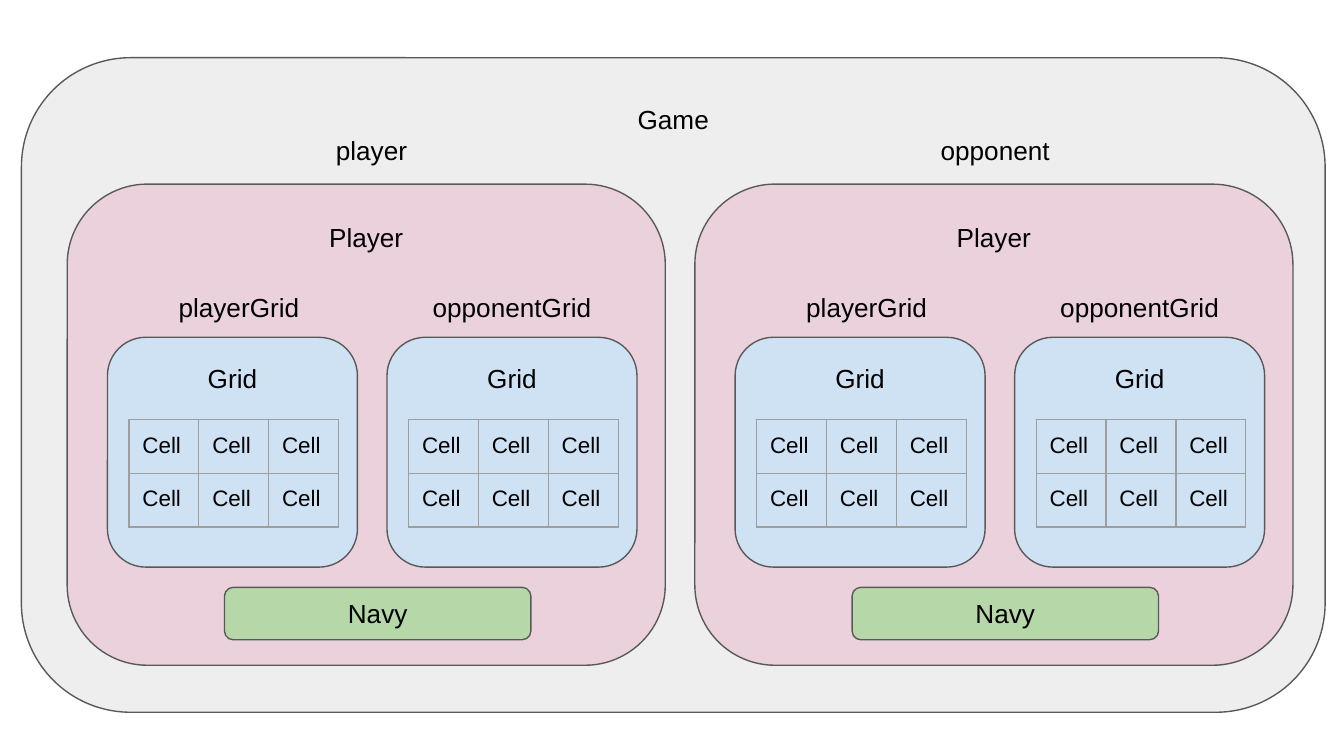
from lxml import etree
from pptx import Presentation
from pptx.dml.color import RGBColor
from pptx.enum.shapes import MSO_SHAPE
from pptx.enum.text import MSO_ANCHOR, PP_ALIGN
from pptx.oxml.ns import qn
from pptx.util import Inches, Pt

ROUNDED = MSO_SHAPE.ROUNDED_RECTANGLE
TOP, MIDDLE = MSO_ANCHOR.TOP, MSO_ANCHOR.MIDDLE
LEFT, CENTER = PP_ALIGN.LEFT, PP_ALIGN.CENTER
MARGINS = {f"margin_{side}": Inches(0.1) for side in ("left", "right", "top", "bottom")}
BORDER = "9E9E9E"


def write(frame, tf, text, size=14, align=LEFT, anchor=TOP):
    for name, value in {**MARGINS, "vertical_anchor": anchor}.items():
        setattr(frame, name, value)
    p = tf.paragraphs[0]
    p.alignment = align
    r = p.add_run()
    r.text = text
    for name, value in {"name": "Arial", "size": Pt(size), "bold": False}.items():
        setattr(r.font, name, value)
    r.font.color.rgb = RGBColor.from_string("000000")


def add_box(text, x, y, w, h, fill=None, anchor=TOP):
    place = [Inches(v) for v in (x, y, w, h)]
    if fill:
        sp = s.shapes.add_shape(ROUNDED, *place)
        sp.shadow.inherit = False
        sp.fill.solid()
        sp.fill.fore_color.rgb = RGBColor.from_string(fill)
        sp.line.color.rgb = RGBColor.from_string("595959")
        sp.line.width = Pt(0.75)
    else:
        sp = s.shapes.add_textbox(*place)
    tf = sp.text_frame
    tf.word_wrap = True
    write(tf, tf, text, align=CENTER if fill else LEFT, anchor=anchor)


prs = Presentation()
prs.slide_width = Inches(10)
prs.slide_height = Inches(10 * 9 / 16)
s = prs.slides.add_slide(prs.slide_layouts[6])

add_box("Game", 0.16, 0.43, 9.7, 4.87, "EEEEEE")

for role, role_x, x in (("player", 2.4, 0.5), ("opponent", 6.9, 5.17)):
    add_box(role, role_x, 0.9, 1.31, 0.44)
    add_box("Player", x, 1.37, 4.45, 3.58, "EAD1DC")
    grids = (("playerGrid", 0.73, 1.31), ("opponentGrid", 2.62, 1.42))
    for i, (label, label_dx, label_w) in enumerate(grids):
        grid_x = x + 0.3 + i * 2.08
        add_box("Grid", grid_x, 2.51, 1.86, 1.71, "CFE2F3")
        add_box(label, x + label_dx, 2.07, label_w, 0.44)
        table = s.shapes.add_table(
            2, 3, Inches(grid_x + 0.16), Inches(3.12), Inches(1.56), Inches(0.8)
        ).table
        table.first_row = table.horz_banding = False
        for cell in table.iter_cells():
            write(cell, cell.text_frame, "Cell", size=12)
            tcPr = cell._tc.get_or_add_tcPr()
            for side in ("lnL", "lnR", "lnT", "lnB"):
                ln = etree.SubElement(tcPr, qn(f"a:{side}"), w=str(Pt(0.75)))
                solid = etree.SubElement(ln, qn("a:solidFill"))
                etree.SubElement(solid, qn("a:srgbClr"), val=BORDER)
            cell.fill.background()
    add_box("Navy", x + 1.17, 4.37, 2.28, 0.39, "B6D7A8", MIDDLE)

prs.save("out.pptx")
